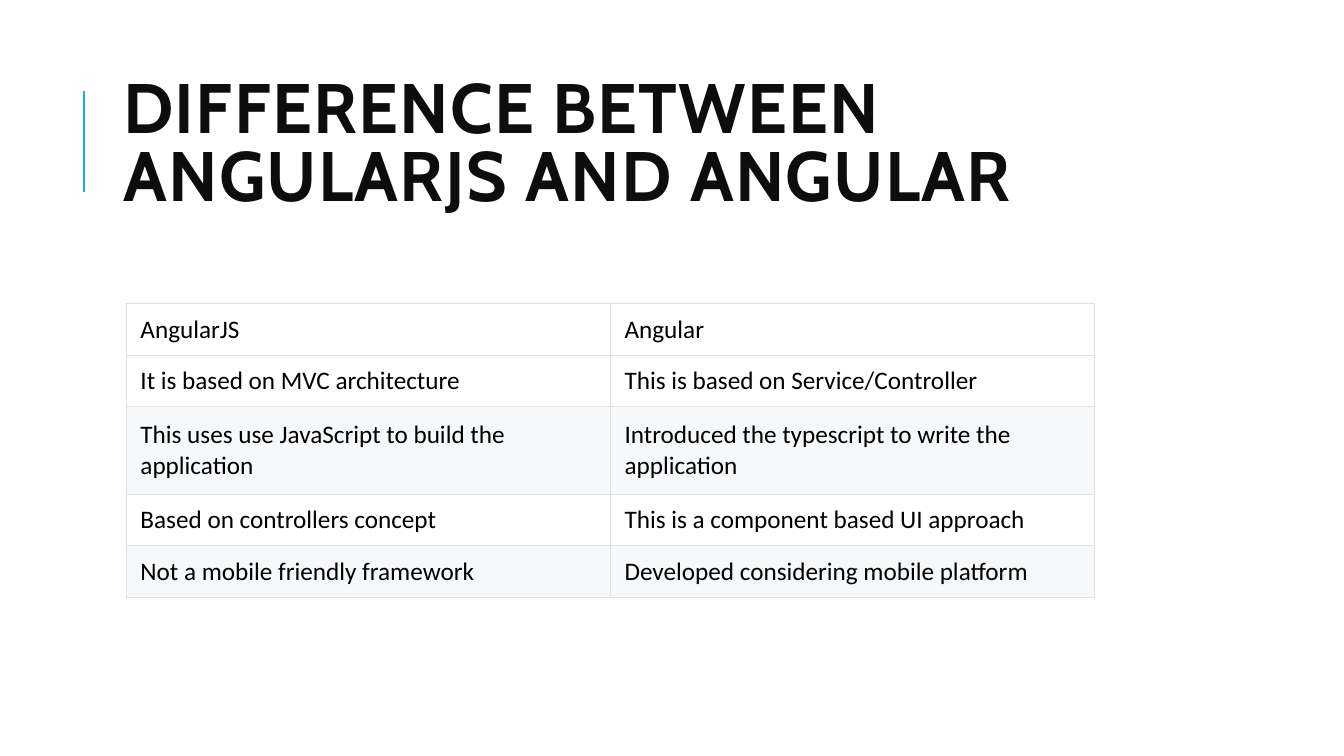
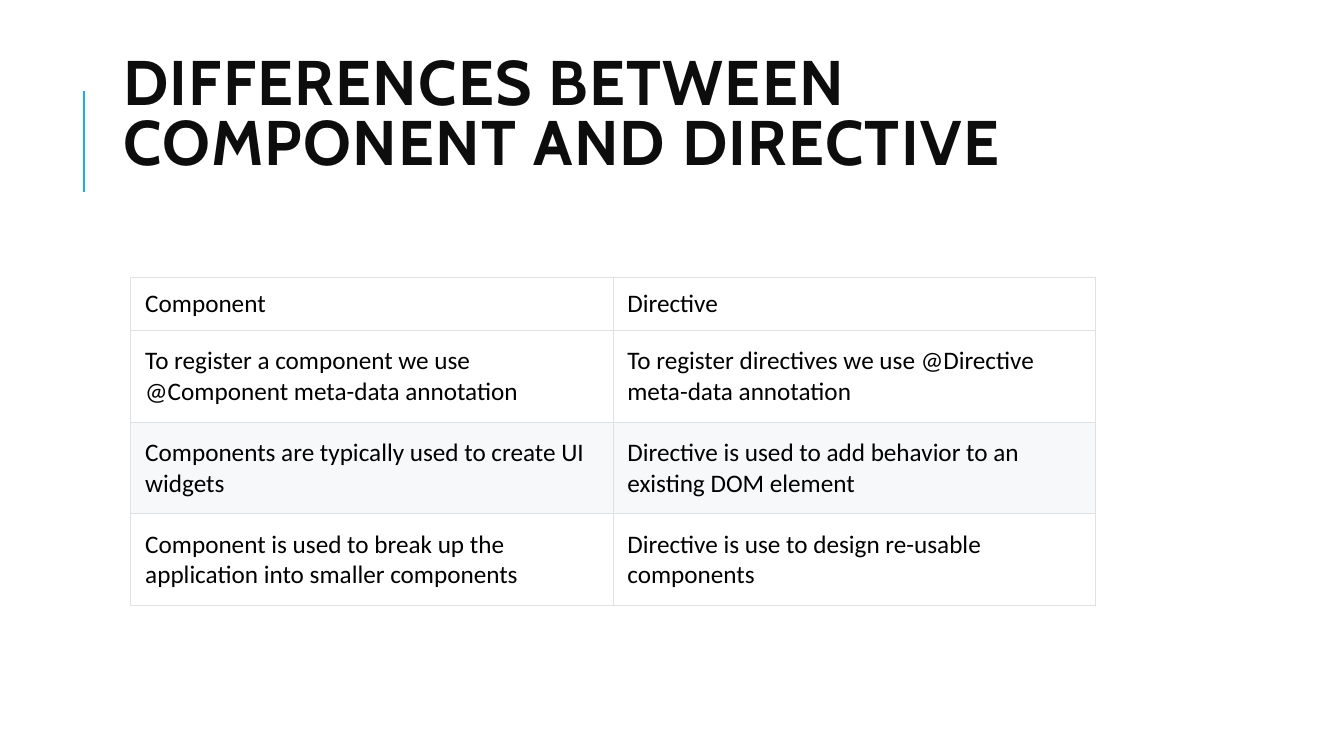
from dataclasses import dataclass

from lxml import etree
from pptx import Presentation
from pptx.dml.color import RGBColor
from pptx.enum.shapes import MSO_CONNECTOR
from pptx.enum.text import MSO_ANCHOR, MSO_AUTO_SIZE, PP_ALIGN
from pptx.oxml.ns import qn
from pptx.util import Cm, Pt

STRAIGHT = MSO_CONNECTOR.STRAIGHT
MIDDLE = MSO_ANCHOR.MIDDLE
NO_FIT = MSO_AUTO_SIZE.NONE
LEFT = PP_ALIGN.LEFT
TITLE_ONLY = 5


@dataclass(frozen=True)
class Theme:
    accent: str = "1CADE4"
    title: str = "0D0D0D"
    text: str = "000000"
    plain: str = "FFFFFF"
    band: str = "F6F8FA"
    border: str = "DFE2E5"
    title_font: str = "Cabin"
    body_font: str = "Calibri"
    body_size: float = 18
    accent_width: float = 1.5
    border_width: float = 0.75


class Deck:
    def __init__(self, theme):
        self.theme = theme
        self.prs = Presentation()
        self.prs.slide_width, self.prs.slide_height = Cm(33.87), Cm(19.05)
        self.s = None

    def add_slide(self):
        self.s = self.prs.slides.add_slide(self.prs.slide_layouts[TITLE_ONLY])
        self.accent_line()

    def accent_line(self):
        line = self.s.shapes.add_connector(STRAIGHT, Cm(2.12), Cm(4.83), Cm(2.12), Cm(2.29))
        line.line.color.rgb = RGBColor.from_string(self.theme.accent)
        line.line.width = Pt(self.theme.accent_width)
        etree.SubElement(line._element.spPr, qn("a:effectLst"))

    def add_run(self, p, text, font, size, color, bold=False):
        r = p.add_run()
        r.text = text
        r.font.name, r.font.size, r.font.bold = font, Pt(size), bold
        r.font.color.rgb = RGBColor.from_string(color)
        return r

    def title(self, text, size, top):
        sp = self.s.shapes.title
        sp.left, sp.top, sp.width, sp.height = Cm(2.85), Cm(top), Cm(27), Cm(4.17)
        tf = sp.text_frame
        tf.word_wrap, tf.auto_size, tf.vertical_anchor = True, NO_FIT, MIDDLE
        p = tf.paragraphs[0]
        p.alignment, p.line_spacing = LEFT, 0.8
        r = self.add_run(p, text, self.theme.title_font, size, self.theme.title, True)
        r.font._element.set("spc", "100")

    def table(self, rows, left, top, col_width, heights):
        n_cols = len(rows[0])
        frame = self.s.shapes.add_table(len(rows), n_cols, Cm(left), Cm(top),
                                        Cm(col_width * n_cols), Cm(sum(heights)))
        tbl = frame.table
        tbl.first_row = tbl.horz_banding = False
        for col in tbl.columns:
            col.width = Cm(col_width)
        for i, (texts, height) in enumerate(zip(rows, heights)):
            tbl.rows[i].height = Cm(height)
            # The header and odd rows stay plain
            fill = self.theme.band if i and i % 2 == 0 else self.theme.plain
            for j, text in enumerate(texts):
                self.cell(tbl.cell(i, j), text, fill)

    def cell(self, cell, text, fill):
        cell.fill.solid()
        cell.fill.fore_color.rgb = RGBColor.from_string(fill)
        cell.vertical_anchor = MIDDLE
        cell.margin_left = cell.margin_right = Cm(0.36)
        cell.margin_top = cell.margin_bottom = Cm(0.15)
        p = cell.text_frame.paragraphs[0]
        self.add_run(p, text, self.theme.body_font, self.theme.body_size, self.theme.text)
        # Borders come before the fill in the cell properties
        tc_pr = cell._tc.get_or_add_tcPr()
        for k, side in enumerate(("lnL", "lnR", "lnT", "lnB")):
            ln = etree.Element(qn(f"a:{side}"), w=str(Pt(self.theme.border_width)))
            solid = etree.SubElement(ln, qn("a:solidFill"))
            etree.SubElement(solid, qn("a:srgbClr"), val=self.theme.border)
            tc_pr.insert(k, ln)


def main():
    deck = Deck(Theme())

    # Framework comparison
    deck.add_slide()
    deck.title("DIFFERENCE BETWEEN ANGULARJS AND ANGULAR", size=50, top=1.63)
    deck.table([
        ("AngularJS", "Angular"),
        ("It is based on MVC architecture", "This is based on Service/Controller"),
        ("This uses use JavaScript to build the application",
         "Introduced the typescript to write the application"),
        ("Based on controllers concept", "This is a component based UI approach"),
        ("Not a mobile friendly framework", "Developed considering mobile platform"),
    ], left=3.18, top=7.65, col_width=12.2, heights=[1.3, 1.3, 2.2, 1.3, 1.3])

    # Component and directive comparison
    deck.add_slide()
    deck.title("DIFFERENCES BETWEEN COMPONENT AND DIRECTIVE", size=45, top=0.87)
    deck.table([
        ("Component", "Directive"),
        ("To register a component we use @Component meta-data annotation",
         "To register directives we use @Directive meta-data annotation"),
        ("Components are typically used to create UI widgets",
         "Directive is used to add behavior to an existing DOM element"),
        ("Component is used to break up the application into smaller components",
         "Directive is use to design re-usable components"),
    ], left=3.3, top=6.98, col_width=12.15, heights=[1.35, 2.31, 2.31, 2.31])

    deck.prs.save("out.pptx")


if __name__ == "__main__":
    main()
